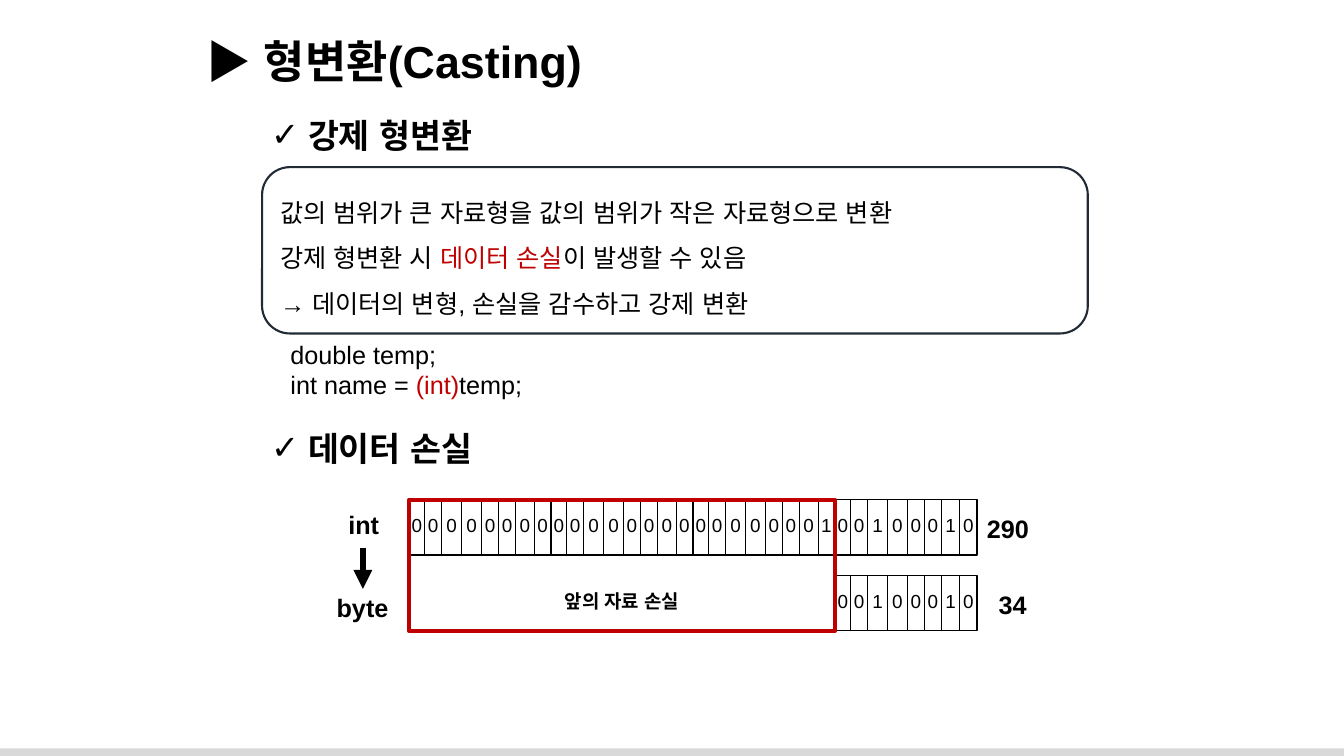
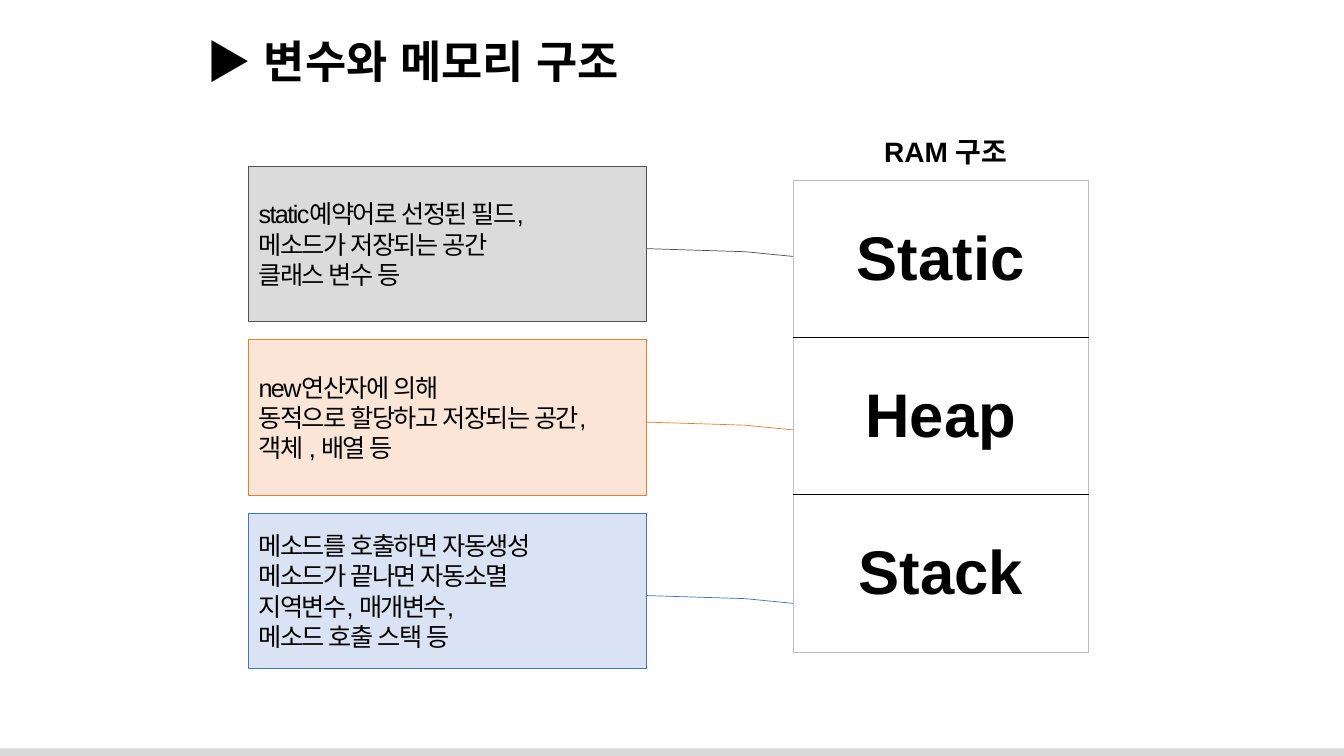
import collections
import pptx
import pptx.dml.color
import pptx.enum.shapes
import pptx.enum.text
import pptx.oxml
import pptx.oxml.ns
import pptx.util

# The slide is a grid of 160 columns by 90 rows; each cell is a 6 pt square.
CELL = pptx.util.Pt(6)
COLUMNS, ROWS = 160, 90
COLORS = {
    "ink": "000000", "alert": "C00000", "frame": "222A35", "band": "D9D9D9",
    "static": "DBDBDB", "static_line": "525252",
    "heap": "FBE5D6", "heap_line": "ED7D31",
    "stack": "DAE3F3", "stack_line": "4472C4", "table_edge": "BFBFBF",
}
FONT = "Arial"
FORMATS = {
    "title": {"size": pptx.util.Pt(32), "bold": True},
    "heading": {"size": pptx.util.Pt(24), "bold": True},
    "body": {"size": pptx.util.Pt(18), "bold": False},
    "label": {"size": pptx.util.Pt(18), "bold": True},
    "caption": {"size": pptx.util.Pt(20), "bold": True},
    "bit": {"size": pptx.util.Pt(13.5), "bold": False},
    "bit_note": {"size": pptx.util.Pt(13.5), "bold": True},
    "memory": {"size": pptx.util.Pt(44), "bold": True},
}
SHAPE = pptx.enum.shapes.MSO_SHAPE
ALIGN = pptx.enum.text.PP_ALIGN
MIDDLE = pptx.enum.text.MSO_ANCHOR.MIDDLE

BIT_EDGES = (0, 0.11, 0.23, 0.37, 0.51, 0.63, 0.75, 0.88, 1)
CALLOUT_POINTS = (0.53, 1.0, 0.55, 1.25, 0.58, 1.37)
VALUE = 290
CASTING_RULES = [
    "값의 범위가 큰 자료형을 값의 범위가 작은 자료형으로 변환",
    [("강제 형변환 시 ", "ink"), ("데이터 손실", "alert"), ("이 발생할 수 있음", "ink")],
    "→ 데이터의 변형, 손실을 감수하고 강제 변환",
]
CASTING_CODE = [
    "double temp;",
    [("int name = ", "ink"), ("(int)", "alert"), ("temp;", "ink")],
]
MEMORY_AREAS = {
    "static": ["static예약어로 선정된 필드,", "메소드가 저장되는 공간", "클래스 변수 등"],
    "heap": ["new연산자에 의해", "동적으로 할당하고 저장되는 공간,", "객체 , 배열 등"],
    "stack": ["메소드를 호출하면 자동생성", "메소드가 끝나면 자동소멸",
              "지역변수, 매개변수,", "메소드 호출 스택 등"],
}


class Box(collections.namedtuple("Box", "x y w h")):
    def inner(self, dx, dy, w, h):
        """Box of the given size, offset from this box's top left corner."""
        return Box(self.x + dx, self.y + dy, w, h)

    def lengths(self):
        return [cells(value) for value in self]


def cells(count):
    return pptx.util.Emu(round(count * CELL))


def rgb(name):
    return pptx.dml.color.RGBColor.from_string(COLORS[name])


def add_xml(parent, tag, **attributes):
    child = parent.makeelement(pptx.oxml.ns.qn(tag), attributes)
    parent.append(child)
    return child


def write(frame, paragraphs, style, align=ALIGN.LEFT, line_spacing=None,
          tracking=None, bullet=None):
    """Fill a text frame; a paragraph is a string or a list of (text, colour)."""
    for index, content in enumerate(paragraphs):
        paragraph = frame.add_paragraph() if index else frame.paragraphs[0]
        if bullet:
            properties = paragraph._p.get_or_add_pPr()
            indent = cells(4.4)
            properties.set("marL", str(indent))
            properties.set("indent", str(-indent))
            add_xml(properties, "a:buFont", typeface=FONT)
            add_xml(properties, "a:buChar", char=bullet)
        paragraph.alignment = align
        if line_spacing:
            paragraph.line_spacing = line_spacing
        runs = [(content, "ink")] if isinstance(content, str) else content
        for text, color in runs:
            run = paragraph.add_run()
            run.text = text
            for attribute, value in FORMATS[style].items():
                setattr(run.font, attribute, value)
            run.font.name = FONT
            run.font.color.rgb = rgb(color)
            properties = run._r.get_or_add_rPr()
            add_xml(properties, "a:ea", typeface=FONT)
            if tracking:
                properties.set("spc", str(tracking))


def add_text(shapes, box, paragraphs, style, wrap=True, tight=False, **layout):
    frame = shapes.add_textbox(*box.lengths()).text_frame
    frame.word_wrap = wrap
    if tight:
        frame.vertical_anchor = MIDDLE
        for side in ("left", "right", "top", "bottom"):
            setattr(frame, "margin_" + side, 0)
    write(frame, paragraphs, style, **layout)


def add_block(shapes, box, kind=SHAPE.RECTANGLE, fill=None, line=None, width=1):
    block = shapes.add_shape(kind, *box.lengths())
    block.shadow.inherit = False
    if fill:
        block.fill.solid()
        block.fill.fore_color.rgb = rgb(fill)
    else:
        block.fill.background()
    if line:
        block.line.color.rgb = rgb(line)
        block.line.width = pptx.util.Pt(width)
    else:
        block.line.fill.background()
    block.text_frame.word_wrap = True
    block.text_frame.vertical_anchor = MIDDLE
    return block


def add_vertical(shapes, x, top, bottom, width, arrow=False):
    rule = shapes.add_connector(pptx.enum.shapes.MSO_CONNECTOR.STRAIGHT,
                                cells(x), cells(top), cells(x), cells(bottom))
    rule.line.color.rgb = rgb("ink")
    rule.line.width = pptx.util.Pt(width)
    properties = rule._element.spPr
    if arrow:
        add_xml(properties.find(pptx.oxml.ns.qn("a:ln")), "a:tailEnd", type="triangle")
    add_xml(properties, "a:effectLst")


def start_slide(deck, title):
    shapes = deck.slides.add_slide(deck.slide_layouts[6]).shapes
    add_block(shapes, Box(0, ROWS - 0.9, COLUMNS, 0.9), fill="band")
    add_text(shapes, Box(23.4, 3.4, 113.4, 7.7), ["▶ " + title], "title")
    return shapes


def add_heading(shapes, box, text):
    add_text(shapes, box, [text], "heading", wrap=False, bullet="✓")


def add_byte(shapes, box, bits):
    """One byte as a frame with eight digit cells."""
    byte = shapes.add_group_shape().shapes
    add_block(byte, box, line="ink")
    for bit, start, end in zip(bits, BIT_EDGES, BIT_EDGES[1:]):
        if start:
            add_vertical(byte, box.x + start * box.w, box.y, box.y + box.h, 0.5)
        digit = box.inner(start * box.w, 1, (end - start) * box.w, 4)
        add_text(byte, digit, [bit], "bit", wrap=False, tight=True, align=ALIGN.CENTER)


def add_data_loss(shapes, box):
    """An int above the byte that remains of it, with the lost part framed."""
    byte_width, byte_height = box.w / 4, 6.6
    low_row = box.h - byte_height
    bits = f"{VALUE:032b}"
    for index in range(4):
        add_byte(shapes, box.inner(index * byte_width, 0, byte_width, byte_height),
                 bits[index * 8:index * 8 + 8])
    lost_width = 3 * byte_width
    add_byte(shapes, box.inner(lost_width, low_row, byte_width, byte_height), bits[-8:])

    labels = [("int", -8.4, 0.5), ("byte", -9.8, 10.4),
              (str(VALUE), box.w, 1), (str(VALUE % 256), box.w + 1.4, 10.1)]
    for text, dx, dy in labels:
        add_text(shapes, box.inner(dx, dy, 9.8, 4.8), [text], "label")
    add_vertical(shapes, box.x - 5.5, box.y + 5.7, box.y + 10.6, 4.5, arrow=True)

    add_block(shapes, box.inner(0, 0, lost_width, box.h), line="alert", width=3)
    add_text(shapes, box.inner(0, low_row + 1, lost_width, 4), ["앞의 자료 손실"],
             "bit_note", tight=True, align=ALIGN.CENTER)


def add_area_notes(shapes, box):
    """One callout for each memory area, stacked with equal gaps."""
    height = 18.5
    pitch = (box.h - height) / (len(MEMORY_AREAS) - 1)
    for index, (area, lines) in enumerate(MEMORY_AREAS.items()):
        note = add_block(shapes, box.inner(0, index * pitch, box.w, height),
                         SHAPE.LINE_CALLOUT_2, area, area + "_line", 0.5)
        for point, share in enumerate(CALLOUT_POINTS):
            note.adjustments[point] = share
        write(note.text_frame, lines, "body", align=ALIGN.JUSTIFY, tracking=-110)


def set_borders(cell, edges):
    """Draw each edge, given as tag: (colour, width in points)."""
    properties = cell._tc.get_or_add_tcPr()
    for tag, (color, width) in edges.items():
        line = add_xml(properties, tag, w=str(pptx.util.Pt(width)))
        add_xml(add_xml(line, "a:solidFill"), "a:srgbClr", val=COLORS[color])


def add_ram(shapes, box):
    add_text(shapes, box.inner(0.6, -6.1, box.w, 5.3), ["RAM 구조"], "caption",
             align=ALIGN.CENTER)
    count = len(MEMORY_AREAS)
    table = shapes.add_table(count, 1, *box.lengths()).table
    table.first_row = table.horz_banding = False
    outer, divider = ("table_edge", 0.5), ("ink", 1)
    for row, area in enumerate(MEMORY_AREAS):
        table.rows[row].height = cells(box.h / count)
        cell = table.cell(row, 0)
        set_borders(cell, {
            "a:lnL": outer, "a:lnR": outer,
            "a:lnT": divider if row else outer,
            "a:lnB": divider if row < count - 1 else outer,
        })
        cell.fill.background()
        cell.vertical_anchor = MIDDLE
        write(cell.text_frame, [area.capitalize()], "memory", align=ALIGN.CENTER)


def build_casting(deck):
    shapes = start_slide(deck, "형변환(Casting)")
    add_heading(shapes, Box(31.1, 13.1, 29, 6), "강제 형변환")
    rules = add_block(shapes, Box(31.2, 19.9, 98.3, 19.8), SHAPE.ROUNDED_RECTANGLE,
                      line="frame", width=1.5)
    write(rules.text_frame, CASTING_RULES, "body", line_spacing=1.5)
    add_text(shapes, Box(33.4, 39.8, 62.9, 8.5), CASTING_CODE, "body")
    add_heading(shapes, Box(31.1, 50.3, 29, 6), "데이터 손실")
    add_data_loss(shapes, Box(48.7, 59.5, 67.6, 15.6))


def build_memory(deck):
    shapes = start_slide(deck, "변수와 메모리 구조")
    add_area_notes(shapes, Box(29.6, 19.8, 47.3, 59.8))
    add_ram(shapes, Box(94.4, 21.5, 35.2, 56.1))


def main():
    deck = pptx.Presentation()
    deck.slide_width, deck.slide_height = cells(COLUMNS), cells(ROWS)
    build_casting(deck)
    build_memory(deck)
    deck.save("out.pptx")


if __name__ == "__main__":
    main()
